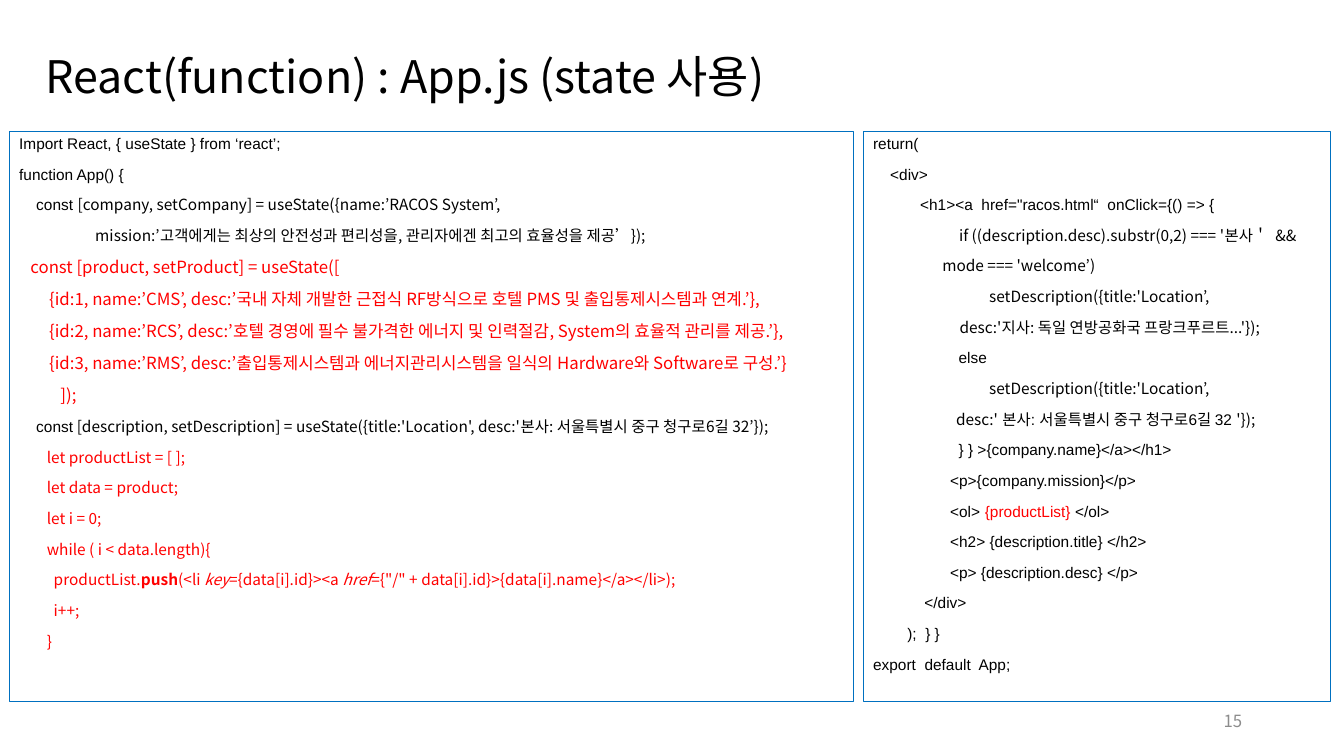
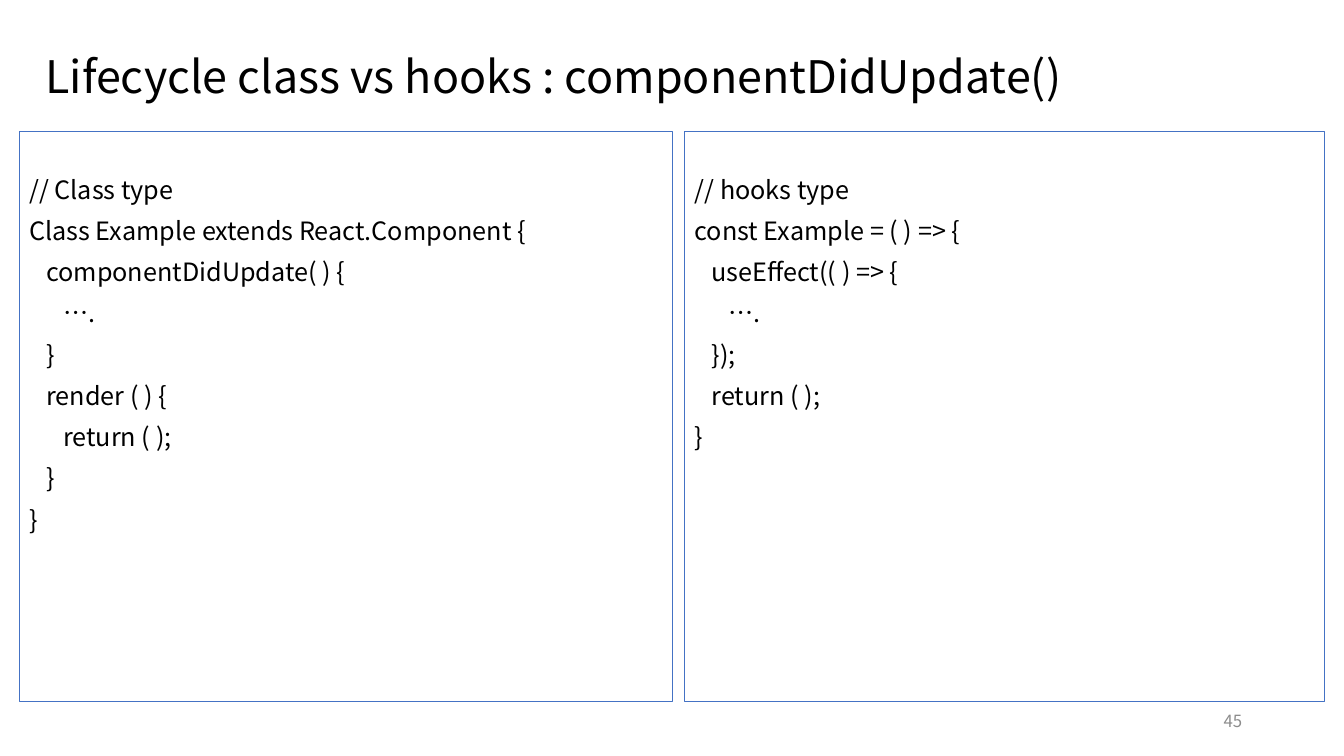
"""Build two React code slides with a title, two bordered code panels and a page number."""
from dataclasses import dataclass

from lxml.etree import SubElement
from pptx import Presentation
from pptx.dml.color import RGBColor as RGB
from pptx.enum.text import MSO_ANCHOR as Anchor, MSO_AUTO_SIZE as AutoSize, PP_ALIGN as Align
from pptx.oxml.ns import qn
from pptx.util import Inches, Pt

SANS, ARIAL = "Noto Sans CJK KR", "Arial"
COLORS = {"text": "000000", "accent": "FF0000", "page": "8C8C8C",
          "blue": "0070C0", "steel": "4472C4"}
PANEL_TOP, PANEL_HEIGHT = 1.3, 5.66


@dataclass
class Run:
    text: str
    font: str = SANS
    size: int = 11
    color: str = "text"
    bold: bool = False
    italic: bool = False


@dataclass
class Panel:
    left: float
    width: float
    border: str
    lines: list[list[Run]]
    inset_top: float = 0.05


@dataclass
class CodeSlide:
    title: str
    page: str
    panels: list[Panel]


def block(text: str, **fmt) -> list[list[Run]]:
    return [[Run(line, **fmt)] for line in text.strip("\n").split("\n")]


def mixed(lead: str, rest: str) -> list[list[Run]]:
    return [[Run(lead, ARIAL), Run(rest)]]


def red(text: str, **fmt) -> Run:
    return Run(text, color="accent", **fmt)


def add_run(p, run: Run) -> None:
    r = p.add_run()
    r.text = run.text
    r.font.name = run.font
    r.font.size = Pt(run.size)
    r.font.bold, r.font.italic = run.bold, run.italic
    r.font.color.rgb = RGB.from_string(COLORS[run.color])
    SubElement(r.font._element, qn("a:ea")).set("typeface", SANS)


def place(sp, left: float, top: float, width: float, height: float) -> None:
    sp.left, sp.top = Inches(left), Inches(top)
    sp.width, sp.height = Inches(width), Inches(height)


def write_line(sp, run: Run, align: Align, spacing: float) -> None:
    tf = sp.text_frame
    tf.word_wrap, tf.auto_size = True, AutoSize.NONE
    tf.vertical_anchor = Anchor.MIDDLE
    p = tf.paragraphs[0]
    p.alignment, p.line_spacing = align, spacing
    add_run(p, run)


def fill_panel(sp, panel: Panel) -> None:
    place(sp, panel.left, PANEL_TOP, panel.width, PANEL_HEIGHT)
    sp.line.color.rgb = RGB.from_string(COLORS[panel.border])
    sp.line.width = Pt(0.75)
    tf = sp.text_frame
    tf.word_wrap, tf.auto_size = True, AutoSize.NONE
    tf.vertical_anchor = Anchor.TOP
    tf.margin_top = Inches(panel.inset_top)
    for i, line in enumerate(panel.lines):
        p = tf.add_paragraph() if i else tf.paragraphs[0]
        pPr = p._p.get_or_add_pPr()
        pPr.set("marL", "0")
        pPr.set("indent", "0")
        SubElement(pPr, qn("a:buNone"))
        p.line_spacing = 0.9
        p.space_before = Pt(10 if i else 0)
        for run in line:
            add_run(p, run)


def build_slide(prs, spec_slide: CodeSlide) -> None:
    s = prs.slides.add_slide(prs.slide_layouts[3])
    place(s.shapes.title, 0.35, 0.4, 12.66, 0.77)
    write_line(s.shapes.title, Run(spec_slide.title, size=32), Align.LEFT, 0.9)
    for idx, panel in enumerate(spec_slide.panels, start=1):
        fill_panel(s.placeholders[idx], panel)
    tb = s.shapes.add_textbox(Inches(9.42), Inches(6.95), Inches(3), Inches(0.4))
    write_line(tb, Run(spec_slide.page, size=12, color="page"), Align.RIGHT, 1.0)


STATE_LINES = [
    *block("""
Import React, { useState } from ‘react’;
function App() {
""", font=ARIAL),
    *mixed("    const ", "[company, setCompany] = useState({name:’RACOS System’,"),
    *block("                      mission:’고객에게는 최상의 안전성과 편리성을, 관리자에겐 최고의 효율성을 제공’});"),
    *block("""
   const [product, setProduct] = useState([
        {id:1, name:’CMS’, desc:’국내 자체 개발한 근접식 RF방식으로 호텔 PMS 및 출입통제시스템과 연계.’},
        {id:2, name:’RCS’, desc:’호텔 경영에 필수 불가격한 에너지 및 인력절감, System의 효율적 관리를 제공.’},
        {id:3, name:’RMS’, desc:’출입통제시스템과 에너지관리시스템을 일식의 Hardware와 Software로 구성.’}
           ]);
""", size=12, color="accent"),
    *mixed("    const", " [description, setDescription] = useState({title:'Location', desc:'본사: 서울특별시 중구 청구로6길 32’});"),
    *block("""
        let productList = [ ];
        let data = product;
        let i = 0;
        while ( i < data.length){
""", color="accent"),
    [red("          productList."), red("push", bold=True), red("(<li "),
     red("key", italic=True), red("={data[i].id}><a "), red("href", italic=True),
     red("={\"/\" + data[i].id}>{data[i].name}</a></li>);")],
    *block("""
          i++;
        }
""", color="accent"),
]

RETURN_LINES = [
    *block("""
return(
    <div>
           <h1><a  href="racos.html“  onClick={() => {
""", font=ARIAL),
    *mixed(" " * 20, "if ((description.desc).substr(0,2) === '본사＇  &&"),
    *block("                    mode === 'welcome’)"),
    *mixed(" " * 27, "setDescription({title:'Location’,"),
    *block("                         desc:'지사: 독일 연방공화국 프랑크푸르트...'});"),
    *block("                    else", font=ARIAL),
    *mixed(" " * 27, "setDescription({title:'Location’,"),
    [Run("                        desc:'"),
     Run(" 본사: 서울특별시 중구 청구로6길 32 ", ARIAL), Run("'});")],
    *block("""
                    } } >{company.name}</a></h1>
                  <p>{company.mission}</p>
""", font=ARIAL),
    [Run("                  <ol> ", ARIAL), red("{productList}", font=ARIAL),
     Run(" </ol>", ARIAL)],
    *block("""
                  <h2> {description.title} </h2>
                  <p> {description.desc} </p>
            </div>
        );  } }
export  default  App;
""", font=ARIAL),
]

CLASS_LINES = block("""
// Class type
Class Example extends React.Component {
   componentDidUpdate( ) {
      ….
   }
   render ( ) {
      return ( );
   }
}
""", size=18)

HOOKS_LINES = block("""
// hooks type
const Example = ( ) => {
   useEffect(( ) => {
      ….
   });
   return ( );
}
""", size=18)

SLIDES = [
    CodeSlide("React(function) : App.js (state 사용)", "15", [
        Panel(0.09, 8.38, "blue", STATE_LINES),
        Panel(8.56, 4.64, "blue", RETURN_LINES)]),
    CodeSlide("Lifecycle class vs hooks : componentDidUpdate()", "45", [
        Panel(0.19, 6.48, "steel", CLASS_LINES, 0.46),
        Panel(6.79, 6.35, "steel", HOOKS_LINES, 0.46)]),
]


def main() -> None:
    prs = Presentation()
    prs.slide_width, prs.slide_height = Inches(13.33), Inches(7.5)
    for code_slide in SLIDES:
        build_slide(prs, code_slide)
    prs.save("out.pptx")


if __name__ == "__main__":
    main()
